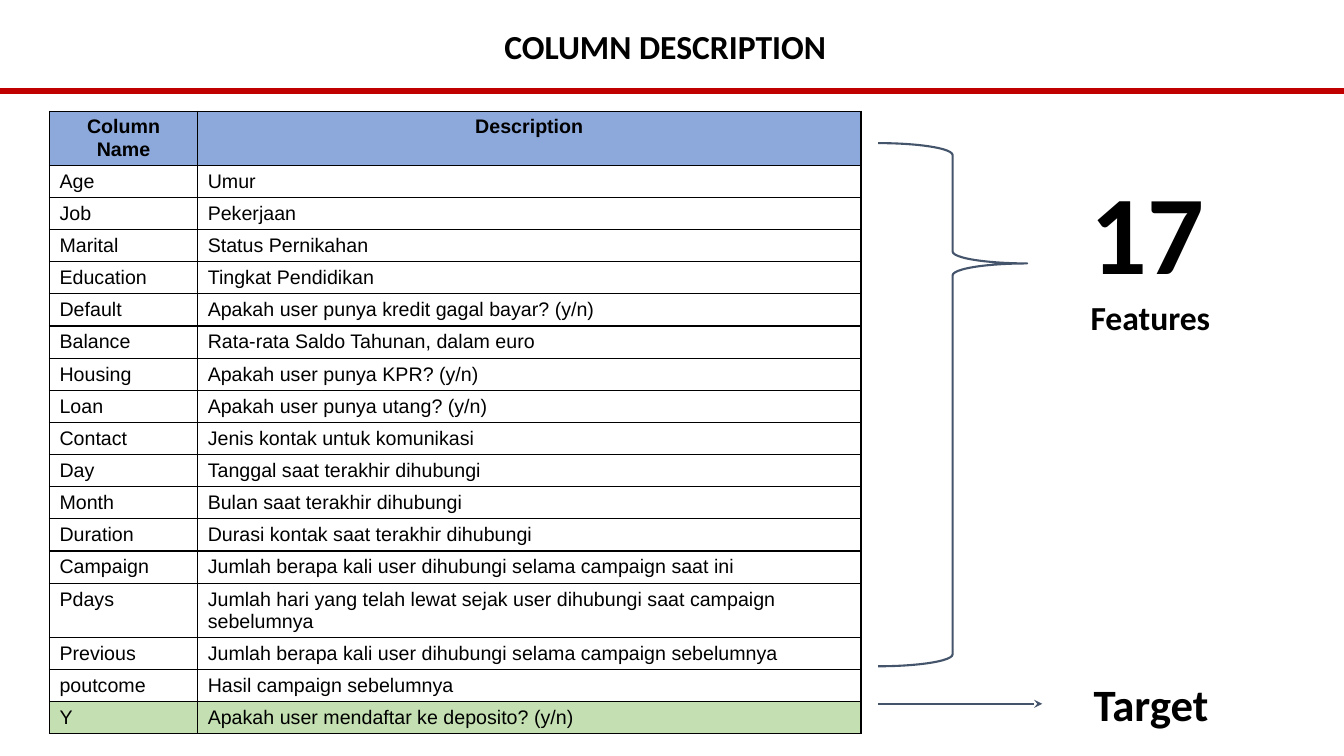
from lxml import etree
from pptx import Presentation
from pptx import util as u
from pptx.dml.color import RGBColor
from pptx.enum import shapes, text
from pptx.oxml import ns

BLACK = RGBColor(0, 0, 0)
RED = RGBColor(0xC0, 0, 0)
SLATE = RGBColor(0x44, 0x54, 0x6A)
BLUE = RGBColor(0x8D, 0xA9, 0xDB)
GREEN = RGBColor(0xC4, 0xE0, 0xB2)
WIDE, HIGH = u.Inches(13.33), u.Inches(7.5)

ROWS = [
    ("Column Name", "Description"),
    ("Age", "Umur"),
    ("Job", "Pekerjaan"),
    ("Marital", "Status Pernikahan"),
    ("Education", "Tingkat Pendidikan"),
    ("Default", "Apakah user punya kredit gagal bayar? (y/n)"),
    ("Balance", "Rata-rata Saldo Tahunan, dalam euro"),
    ("Housing", "Apakah user punya KPR? (y/n)"),
    ("Loan", "Apakah user punya utang? (y/n)"),
    ("Contact", "Jenis kontak untuk komunikasi"),
    ("Day", "Tanggal saat terakhir dihubungi"),
    ("Month", "Bulan saat terakhir dihubungi"),
    ("Duration", "Durasi kontak saat terakhir dihubungi"),
    ("Campaign", "Jumlah berapa kali user dihubungi selama campaign saat ini"),
    ("Pdays", "Jumlah hari yang telah lewat sejak user dihubungi saat campaign sebelumnya"),
    ("Previous", "Jumlah berapa kali user dihubungi selama campaign sebelumnya"),
    ("poutcome", "Hasil campaign sebelumnya"),
    ("Y", "Apakah user mendaftar ke deposito? (y/n)"),
]


def col(n):
    """Return n columns of a grid with 100 columns across the slide."""
    return u.Emu(round(WIDE * n / 100))


def row(n):
    """Return n rows of a grid with 100 rows down the slide."""
    return u.Emu(round(HIGH * n / 100))


def area(x, y, w, h):
    """Return a grid area as left, top, width and height."""
    return col(x), row(y), col(w), row(h)


def style(para, size, face="Calibri", bold=True):
    """Set the font of a paragraph."""
    font = para.font
    font.name, font.size, font.bold = face, u.Pt(size), bold
    font.color.rgb = BLACK


def add_title(slide, words):
    """Place the heading in the title placeholder."""
    title = slide.shapes.title
    title.left, title.top, title.width, title.height = area(1.5, -0.53, 96, 13.2)
    frame = title.text_frame
    frame.text = words
    frame.vertical_anchor = text.MSO_ANCHOR.MIDDLE
    para = frame.paragraphs[0]
    para.alignment = text.PP_ALIGN.CENTER
    style(para, 24)


def add_rule(slide, start, end, y, color, width, head=False):
    """Draw a level line, with an arrowhead if asked."""
    line = slide.shapes.add_connector(
        shapes.MSO_CONNECTOR.STRAIGHT, col(start), row(y), col(end), row(y))
    line.line.color.rgb, line.line.width = color, u.Pt(width)
    if head:
        etree.SubElement(line.line._get_or_add_ln(), ns.qn("a:tailEnd"), type="stealth")
    etree.SubElement(line._element.spPr, ns.qn("a:effectLst"))


def add_edges(cell):
    """Give a table cell a thin black border on each side."""
    props = cell._tc.get_or_add_tcPr()
    for place, side in enumerate("LRTB"):
        edge = etree.Element(ns.qn("a:ln" + side), w=str(u.Pt(1)))
        fill = etree.SubElement(edge, ns.qn("a:solidFill"))
        etree.SubElement(fill, ns.qn("a:srgbClr"), val=str(BLACK))
        props.insert(place, edge)


def add_cell(cell, words, color, head):
    """Fill in and format one table cell."""
    cell.text = words
    para = cell.text_frame.paragraphs[0]
    if head:
        para.alignment = text.PP_ALIGN.CENTER
    style(para, 14, "Arial", head)
    if color is None:
        cell.fill.background()
    else:
        cell.fill.solid()
        cell.fill.fore_color.rgb = color
    add_edges(cell)


def add_grid(slide, x, y, widths, height):
    """Add the table of columns and their meanings."""
    place = area(x, y, sum(widths), height * len(ROWS))
    table = slide.shapes.add_table(len(ROWS), len(widths), *place).table
    table.first_row = table.horz_banding = False
    for part, width in zip(table.columns, widths):
        part.width = col(width)
    fills = {0: BLUE, len(ROWS) - 1: GREEN}
    for r, words in enumerate(ROWS):
        table.rows[r].height = row(height)
        for c, word in enumerate(words):
            add_cell(table.cell(r, c), word, fills.get(r), r == 0)


def add_brace(slide, *place):
    """Draw the brace that spans the features."""
    brace = slide.shapes.add_shape(shapes.MSO_SHAPE.RIGHT_BRACE, *area(*place))
    brace.adjustments[0], brace.adjustments[1] = 0.08, 0.23
    brace.shadow.inherit = False
    brace.fill.background()
    brace.line.color.rgb, brace.line.width = SLATE, u.Pt(1.5)


def add_label(slide, place, lines):
    """Add a text box from pairs of words and size."""
    frame = slide.shapes.add_textbox(*area(*place)).text_frame
    frame.word_wrap = False
    frame.auto_size = text.MSO_AUTO_SIZE.SHAPE_TO_FIT_TEXT
    for n, (words, size) in enumerate(lines):
        para = frame.add_paragraph() if n else frame.paragraphs[0]
        para.text = words
        style(para, size)


def main():
    """Build and save the slide."""
    deck = Presentation()
    deck.slide_width, deck.slide_height = WIDE, HIGH
    slide = deck.slides.add_slide(deck.slide_layouts[5])
    add_title(slide, "COLUMN DESCRIPTION")
    add_rule(slide, 0, 100, 12, RED, 4.5)
    add_grid(slide, 3.68, 14.7, (11.03, 49.35), 2.8)
    add_brace(slide, 65.33, 18.93, 11.1, 69.2)
    add_label(slide, (80.4, 20.8, 10.5, 24.67), [("17", 80), ("Features", 24)])
    add_rule(slide, 65.33, 77.55, 93.1, SLATE, 1.5, head=True)
    add_label(slide, (80.63, 88.8, 10.13, 8.53), [("Target", 32)])
    deck.save("out.pptx")


if __name__ == "__main__":
    main()
